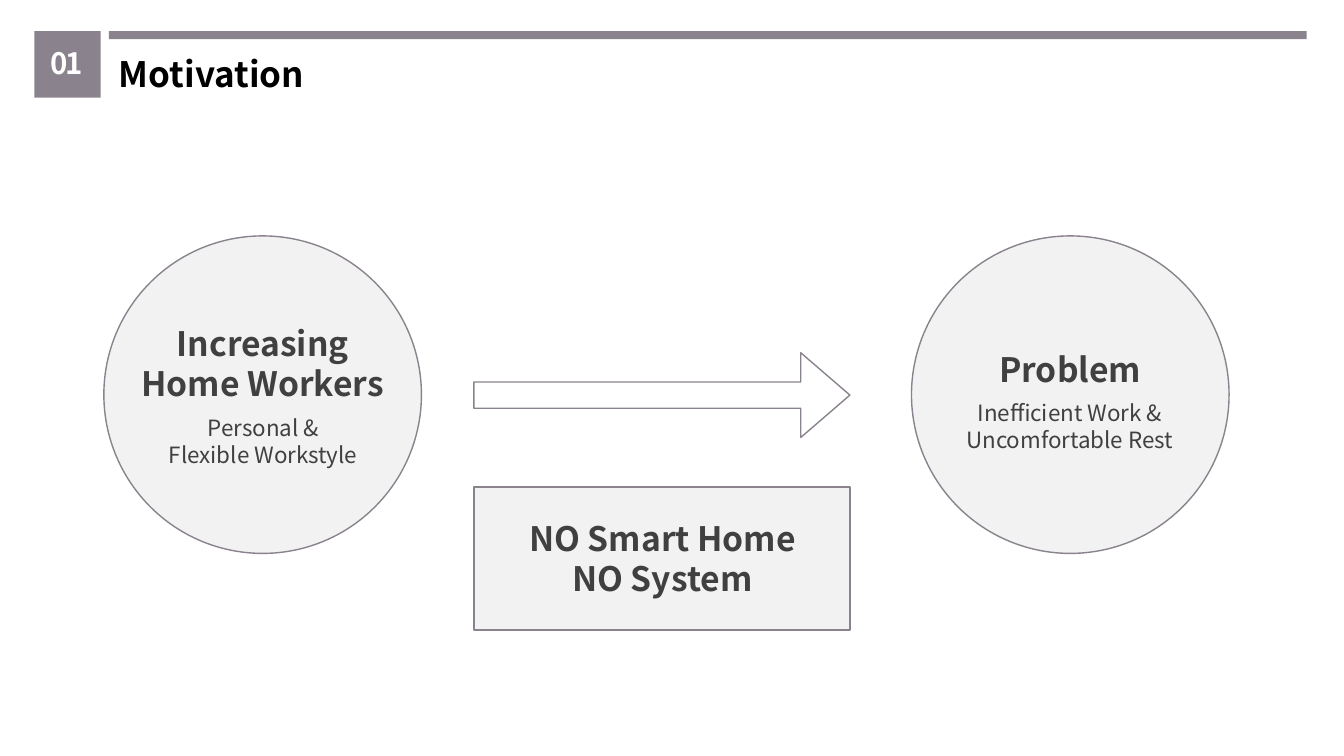
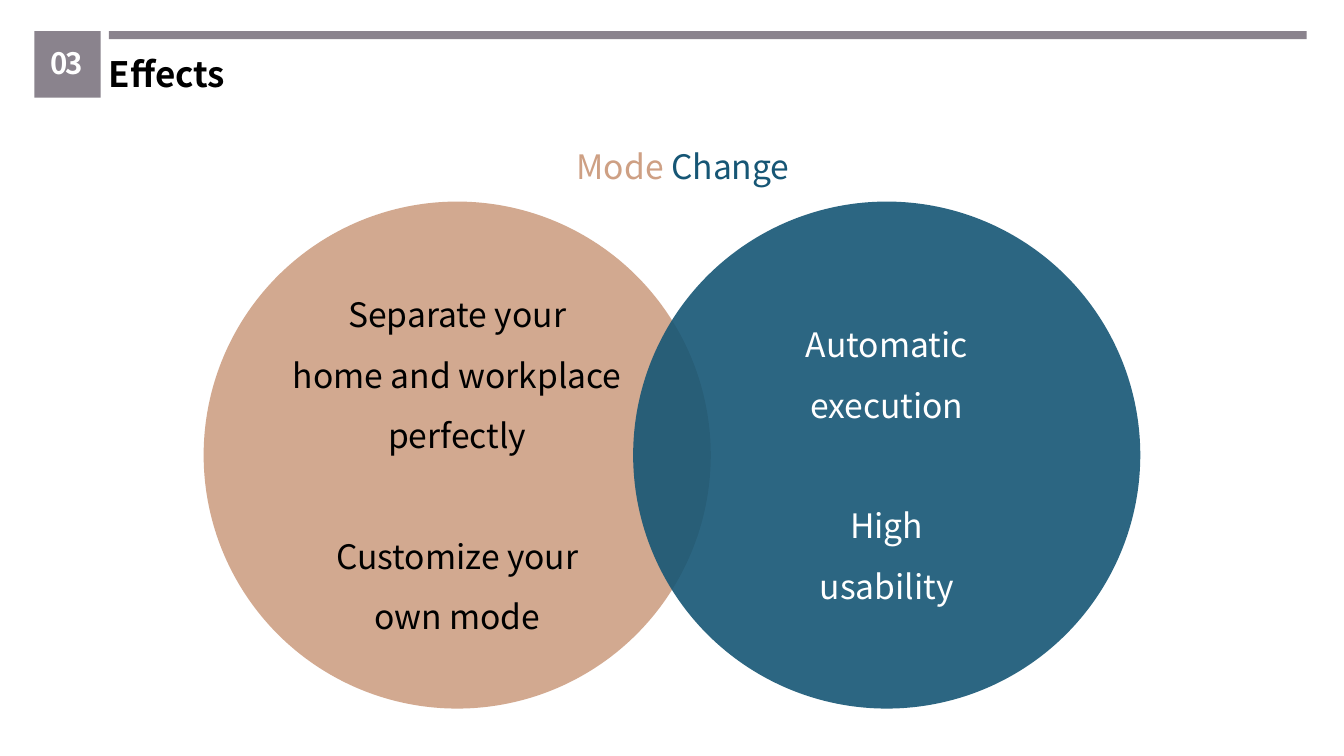
"""Build two slides on the motivation and effects of a smart home system."""
from dataclasses import dataclass
from typing import Optional

from lxml import etree
from pptx import Presentation
from pptx.dml.color import RGBColor
from pptx.enum.shapes import MSO_SHAPE
from pptx.enum.text import MSO_ANCHOR, MSO_AUTO_SIZE, PP_ALIGN
from pptx.oxml.ns import qn
from pptx.util import Inches, Pt

RECTANGLE = MSO_SHAPE.RECTANGLE
ELLIPSE = MSO_SHAPE.OVAL
ARROW = MSO_SHAPE.RIGHT_ARROW
TOP = MSO_ANCHOR.TOP
MIDDLE = MSO_ANCHOR.MIDDLE
LEFT = PP_ALIGN.LEFT
CENTER = PP_ALIGN.CENTER
FIXED_SIZE = MSO_AUTO_SIZE.NONE

FONT = "Noto Sans CJK KR"
COLORS = {
    "accent": "8A838D",
    "panel": "F2F2F2",
    "text": "404040",
    "black": "000000",
    "white": "FFFFFF",
    "sand": "CEA084",
    "ocean": "165675",
}
TITLE_ONLY = 5


@dataclass
class Box:
    left: float
    top: float
    width: float
    height: float

    def lengths(self) -> tuple:
        return tuple(Inches(v) for v in (self.left, self.top, self.width, self.height))


@dataclass
class Label:
    box: Box
    lines: list[str]
    size: float = 24
    bold: bool = True


@dataclass
class VennCircle:
    left: float
    fill: str
    text_color: str
    groups: list[list[str]]


def rgb(name: str) -> RGBColor:
    return RGBColor.from_string(COLORS[name])


def style_font(font, size: float, color: str, bold: bool = False) -> None:
    font.name = FONT
    font.size = Pt(size)
    font.bold = bold
    font.color.rgb = rgb(color)


def add_figure(slide, kind, box: Box, fill: Optional[str] = None, line: Optional[str] = None):
    shape = slide.shapes.add_shape(kind, *box.lengths())
    shape.shadow.inherit = False
    if fill:
        shape.fill.solid()
        shape.fill.fore_color.rgb = rgb(fill)
    else:
        shape.fill.background()
    if line:
        shape.line.color.rgb = rgb(line)
        shape.line.width = Pt(1)
    else:
        shape.line.fill.background()
    return shape


def add_label(slide, label: Label, color: str = "text"):
    frame = slide.shapes.add_textbox(*label.box.lengths()).text_frame
    frame.word_wrap = True
    frame.text = "\n".join(label.lines)
    for paragraph in frame.paragraphs:
        paragraph.alignment = CENTER
        style_font(paragraph.font, label.size, color, label.bold)
    return frame


def add_header(slide, number: str, title: str, title_left: float) -> None:
    add_figure(slide, RECTANGLE, Box(0.34, 0.31, 0.66, 0.66), "accent")
    add_figure(slide, RECTANGLE, Box(1.08, 0.31, 11.88, 0.08), "accent")
    badge = add_label(slide, Label(Box(0.19, 0.4, 0.94, 0.46), [number], 21), "white")
    for run in badge.paragraphs[0].runs:
        run.font._element.set("spc", "-200")

    placeholder = slide.shapes.title
    box = Box(title_left, 0.47, 11.88, 0.52)
    placeholder.left, placeholder.top, placeholder.width, placeholder.height = box.lengths()
    frame = placeholder.text_frame
    frame.text = title
    frame.auto_size = FIXED_SIZE
    frame.vertical_anchor = TOP
    paragraph = frame.paragraphs[0]
    paragraph.alignment = LEFT
    style_font(paragraph.font, 25, "black", True)


def add_venn_circle(slide, circle: VennCircle) -> None:
    shape = add_figure(slide, ELLIPSE, Box(circle.left, 2, 5.03, 5.03), circle.fill)
    color = shape._element.spPr.find(qn("a:solidFill")).find(qn("a:srgbClr"))
    etree.SubElement(color, qn("a:alpha"), val="90000")
    frame = shape.text_frame
    frame.word_wrap = True
    frame.vertical_anchor = MIDDLE
    frame.text = "\n".join(line for group in circle.groups for line in group)
    second_group = len(circle.groups[0])
    for index, paragraph in enumerate(frame.paragraphs):
        paragraph.alignment = CENTER
        paragraph.line_spacing = 1.5
        if index == second_group:
            paragraph.space_before = Pt(43)
        style_font(paragraph.font, 24, circle.text_color)


def build_motivation(slide) -> None:
    add_header(slide, "01", "Motivation", 1.08)
    add_figure(slide, RECTANGLE, Box(4.7, 4.83, 3.73, 1.42), "panel", "accent")
    for left in (1.03, 9.04):
        add_figure(slide, ELLIPSE, Box(left, 2.34, 3.15, 3.15), "panel", "accent")
    arrow = add_figure(slide, ARROW, Box(4.7, 3.5, 3.73, 0.84), line="accent")
    arrow.adjustments[0] = 0.31
    arrow.adjustments[1] = 0.58
    labels = [
        Label(Box(1.19, 3.15, 2.83, 0.91), ["Increasing", "Home Workers"]),
        Label(Box(0.94, 4.06, 3.34, 0.64), ["Personal &", "Flexible Workstyle"], 16, False),
        Label(Box(9.46, 3.41, 2.31, 0.5), ["Problem"]),
        Label(Box(8.94, 3.91, 3.34, 0.64), ["Inefficient Work &", "Uncomfortable Rest"], 16, False),
        Label(Box(4.71, 5.09, 3.72, 0.91), ["NO Smart Home", "NO System"]),
    ]
    for label in labels:
        add_label(slide, label)


def build_effects(slide) -> None:
    add_header(slide, "03", "Effects", 0.98)
    heading = slide.shapes.add_textbox(*Box(5.62, 1.4, 2.38, 0.5).lengths()).text_frame
    heading.word_wrap = False
    for text, color in (("Mode ", "sand"), ("Change", "ocean")):
        run = heading.paragraphs[0].add_run()
        run.text = text
        style_font(run.font, 24, color)
    circles = [
        VennCircle(2.02, "sand", "black", [
            ["Separate your", "home and workplace perfectly"],
            ["Customize your", "own mode"],
        ]),
        VennCircle(6.28, "ocean", "white", [
            ["Automatic", "execution"],
            ["High", "usability"],
        ]),
    ]
    for circle in circles:
        add_venn_circle(slide, circle)


def main() -> None:
    presentation = Presentation()
    presentation.slide_width = Inches(13.33)
    presentation.slide_height = Inches(7.5)
    layout = presentation.slide_layouts[TITLE_ONLY]
    for build in (build_motivation, build_effects):
        build(presentation.slides.add_slide(layout))
    presentation.save("out.pptx")


if __name__ == "__main__":
    main()
